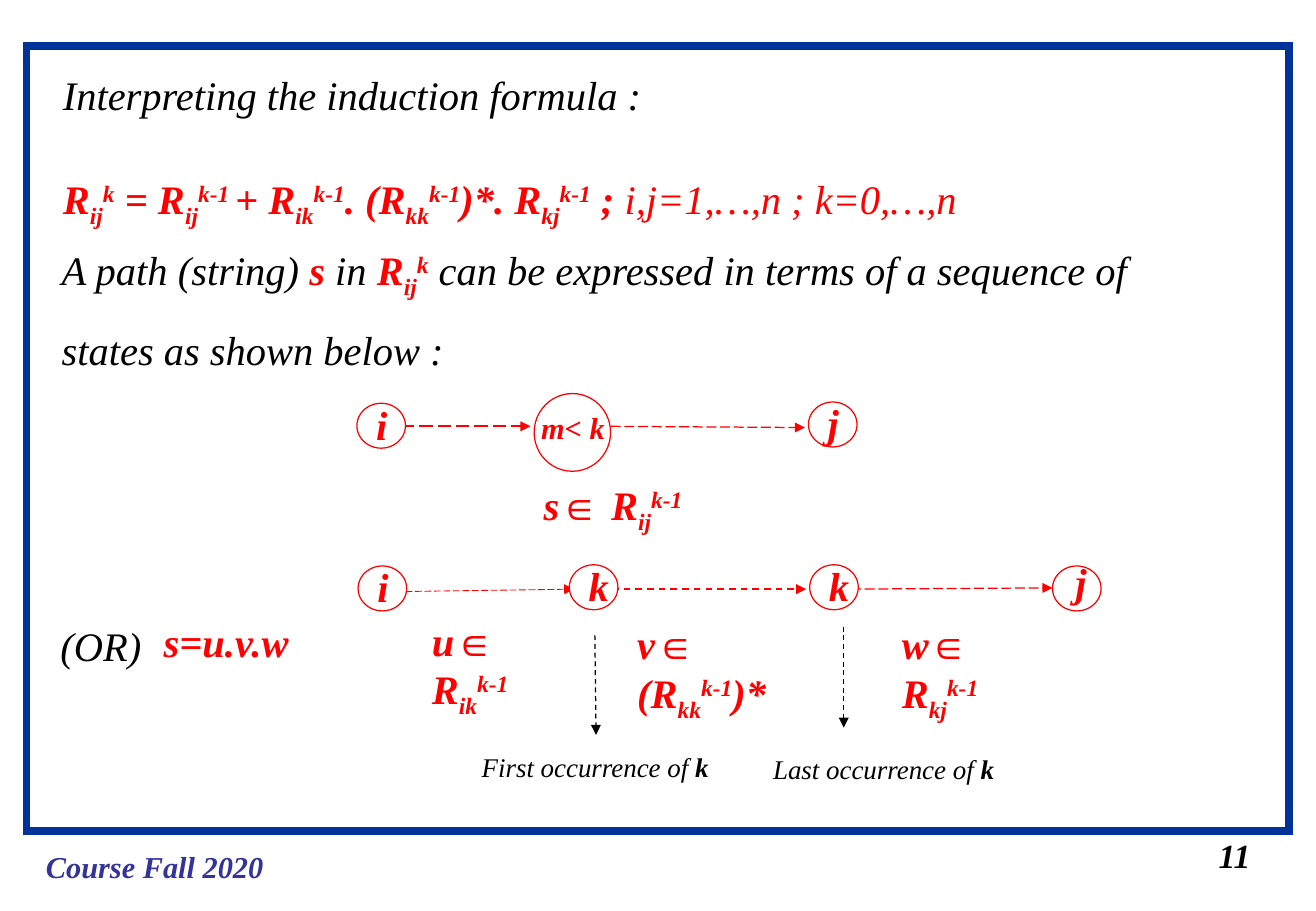
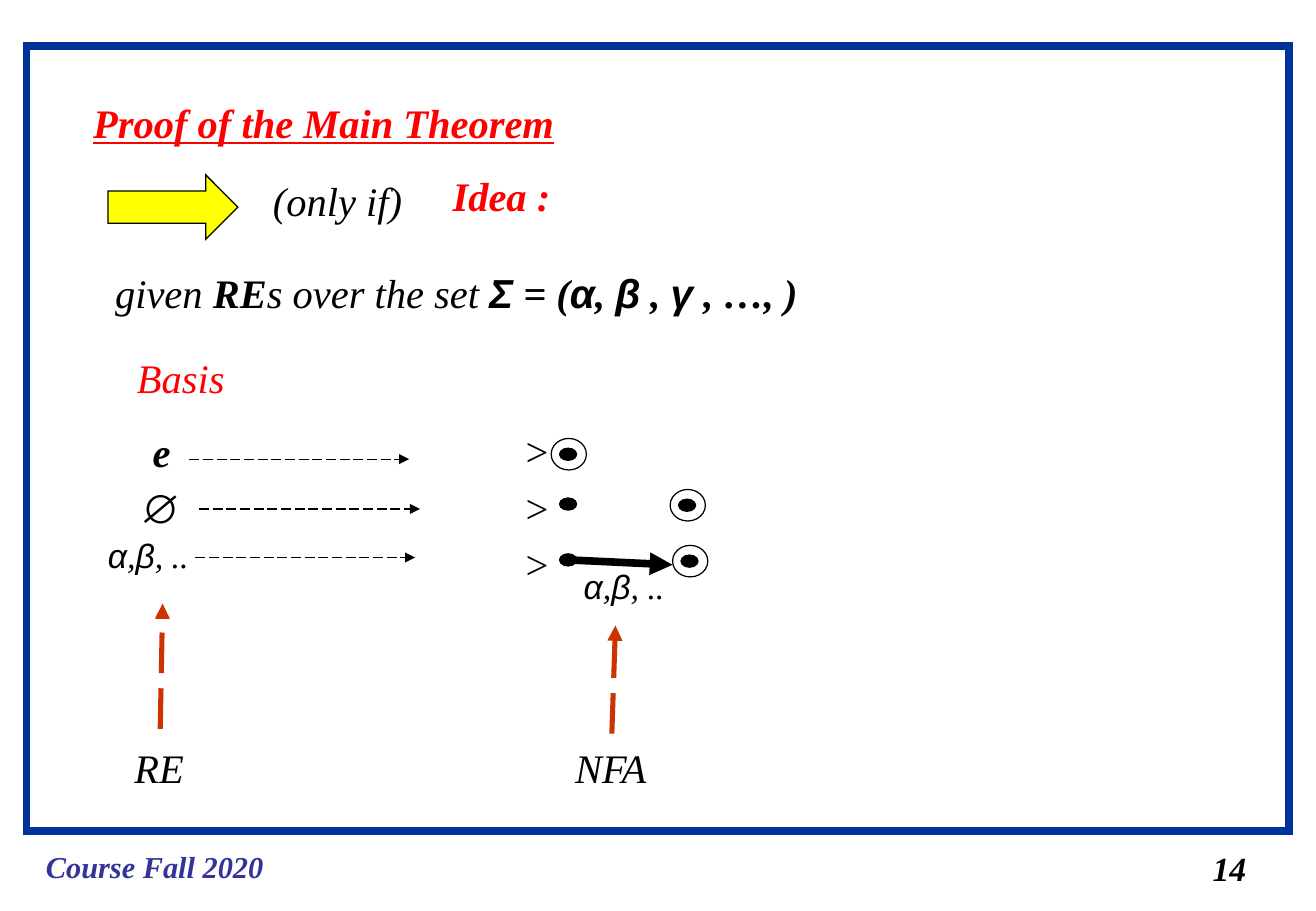
"""Build two lecture slides on regular expressions and finite automata."""
from dataclasses import dataclass
from typing import Any, Optional

from lxml.etree import SubElement
from pptx import Presentation
from pptx.dml.color import RGBColor
from pptx.enum.dml import MSO_LINE
from pptx.enum.shapes import MSO_CONNECTOR, MSO_SHAPE
from pptx.enum.text import MSO_ANCHOR, MSO_AUTO_SIZE
from pptx.oxml.ns import qn
from pptx.util import Inches, Pt

COLORS = {
    "black": "000000",
    "white": "FFFFFF",
    "red": "FF0000",
    "frame": "003399",
    "footer": "333399",
    "yellow": "FFFF00",
    "pointer": "CC3300",
}
SERIF, SANS = "Times New Roman", "Arial"
LINE_HEIGHTS = {16: 0.37, 18: 0.4, 20: 0.44, 24: 0.5}
FRAME_FORMAT = {
    "word_wrap": True,
    "auto_size": MSO_AUTO_SIZE.SHAPE_TO_FIT_TEXT,
    "vertical_anchor": MSO_ANCHOR.TOP,
    "margin_left": Inches(0.1),
    "margin_right": Inches(0.1),
    "margin_top": Inches(0.05),
    "margin_bottom": Inches(0.05),
}


@dataclass(frozen=True)
class Words:
    text: str
    color: str = "black"
    bold: bool = False
    font: str = SERIF
    baseline: int = 0
    underline: bool = False


@dataclass(frozen=True)
class Label:
    left: float
    top: float
    width: float
    words: list[Words]
    size: int = 24
    height: Optional[float] = None
    spacing: Optional[float] = None


@dataclass(frozen=True)
class Arrow:
    start: tuple[float, float]
    end: tuple[float, float]
    color: str = "black"
    weight: float = 0.75
    dash: Optional[MSO_LINE] = MSO_LINE.LONG_DASH


@dataclass(frozen=True)
class State:
    name: str
    left: float
    top: float
    name_dx: float = 0.06
    name_dy: float = -0.08


@dataclass(frozen=True)
class Dot:
    left: float
    top: float
    accepting: bool = False


def apply_format(target: Any, values: dict[str, Any]) -> None:
    """Set every named attribute on the target."""
    for name, value in values.items():
        setattr(target, name, value)


def rgb(color: str) -> RGBColor:
    """Look up a palette colour."""
    return RGBColor.from_string(COLORS[color])


def red(text: str, **options: Any) -> Words:
    """Return bold red words."""
    return Words(text, "red", True, **options)


def power(base: str, below: str, above: str) -> list[Words]:
    """Return a red term with a subscript and a superscript."""
    return [red(base), red(below, baseline=-25), red(above, baseline=30)]


def member(variable: str, base: str, below: str) -> list[Words]:
    """Return a statement that a string belongs to a path set."""
    return [red(variable), red("∈ ", font=SANS), *power(base, below, "k-1")]


def greek(text: str, bold: bool = False) -> list[Words]:
    """Return words whose Greek letters are set in the sans font."""
    return [Words(sign, bold=bold, font=SANS if sign in "Σαβγ" else SERIF)
            for sign in text]


def fill_paragraph(paragraph: Any, words: list[Words], size: int,
                   spacing: Optional[float]) -> None:
    """Write styled words into a paragraph."""
    if spacing:
        paragraph.line_spacing = spacing
    for part in words:
        run = paragraph.add_run()
        run.text = part.text
        apply_format(run.font, {
            "name": part.font, "size": Pt(size), "bold": part.bold,
            "italic": True, "underline": part.underline,
        })
        run.font.color.rgb = rgb(part.color)
        if part.baseline:
            run.font._element.set("baseline", str(part.baseline * 1000))


def add_label(slide: Any, label: Label) -> Any:
    """Draw a text box and return its text frame."""
    height = label.height or LINE_HEIGHTS[label.size]
    frame = slide.shapes.add_textbox(
        Inches(label.left), Inches(label.top),
        Inches(label.width), Inches(height)).text_frame
    apply_format(frame, FRAME_FORMAT)
    fill_paragraph(frame.paragraphs[0], label.words, label.size, label.spacing)
    return frame


def add_outline(slide: Any, kind: MSO_SHAPE, left: float, top: float,
                width: float, height: float, line: str = "black",
                fill: Optional[str] = None, weight: float = 0.75) -> Any:
    """Draw a preset shape with a mitred outline and an optional fill."""
    shape = slide.shapes.add_shape(
        kind, Inches(left), Inches(top), Inches(width), Inches(height))
    shape.shadow.inherit = False
    if fill:
        shape.fill.solid()
        shape.fill.fore_color.rgb = rgb(fill)
    else:
        shape.fill.background()
    shape.line.color.rgb = rgb(line)
    shape.line.width = Pt(weight)
    SubElement(shape.line._get_or_add_ln(), qn("a:miter"), lim="800000")
    return shape


def add_arrow(slide: Any, arrow: Arrow) -> None:
    """Draw a straight line with a triangular head at its end."""
    line = slide.shapes.add_connector(
        MSO_CONNECTOR.STRAIGHT, *map(Inches, arrow.start + arrow.end))
    line.line.color.rgb = rgb(arrow.color)
    line.line.width = Pt(arrow.weight)
    if arrow.dash:
        line.line.dash_style = arrow.dash
    SubElement(line.line._get_or_add_ln(), qn("a:tailEnd"), type="triangle")
    SubElement(line._element.spPr, qn("a:effectLst"))


def add_state(slide: Any, state: State) -> None:
    """Draw a red circle with the name of its state."""
    add_outline(slide, MSO_SHAPE.OVAL, state.left, state.top, 0.4, 0.37,
                "red", "white")
    add_label(slide, Label(
        state.left + state.name_dx, state.top + state.name_dy,
        0.4, [red(state.name)]))


def add_dot(slide: Any, dot: Dot) -> None:
    """Draw an automaton state, ringed when it accepts."""
    add_outline(slide, MSO_SHAPE.OVAL, dot.left, dot.top, 0.14, 0.1,
                fill="black")
    if dot.accepting:
        add_outline(slide, MSO_SHAPE.OVAL, dot.left - 0.07, dot.top - 0.08,
                    0.29, 0.26)


def add_course_slide(deck: Any, number: str, left: float, top: float) -> Any:
    """Add a slide with the shared frame, footer and page number."""
    slide = deck.slides.add_slide(deck.slide_layouts[6])
    add_outline(slide, MSO_SHAPE.RECTANGLE, 0.22, 0.38, 10.4, 6.46,
                "frame", weight=4.5)
    add_label(slide, Label(0.28, 6.93, 2.2, [
        Words("Course Fall 2020", "footer", True)], 18))
    add_label(slide, Label(left, top, 0.6, [Words(number, bold=True)], 20))
    return slide


def build_induction(deck: Any) -> None:
    """Build the slide that interprets the induction formula."""
    slide = add_course_slide(deck, "11", 9.94, 6.82)
    heading = add_label(slide, Label(0.42, 0.53, 8.97, [
        Words("Interpreting the induction formula :")], height=1.41))
    fill_paragraph(heading.add_paragraph(), [
        *power("R", "ij", "k"), *power(" = R", "ij", "k-1 "),
        *power("+ R", "ik", "k-1"), *power(". (R", "kk", "k-1"),
        *power(")*. R", "kj", "k-1"), red(" ; "),
        Words("i,j=1,…,n ; k=0,…,n", "red")], 24, 2.0)
    add_label(slide, Label(0.41, 1.74, 9.3, [
        Words("A path (string) "), red("s "), Words("in "),
        *power("R", "ij", "k"),
        Words(" can be expressed in terms of a sequence of states"
              " as shown below :")], height=1.39, spacing=1.5))

    arrows = [
        Arrow((3.15, 3.51), (4.37, 3.51), "red", 1),
        Arrow((5.03, 3.51), (6.63, 3.52), "red"),
        Arrow((3.34, 4.87), (4.73, 4.85), "red", 0.5),
        Arrow((5.04, 4.85), (6.64, 4.85), "red", 1, MSO_LINE.DASH),
        Arrow((7.01, 4.85), (8.67, 4.84), "red"),
        Arrow((4.9, 5.23), (4.91, 6.05), dash=MSO_LINE.DASH),
        Arrow((6.95, 5.16), (6.95, 5.99), dash=MSO_LINE.DASH),
    ]
    for arrow in arrows:
        add_arrow(slide, arrow)
    add_outline(slide, MSO_SHAPE.OVAL, 4.4, 3.24, 0.63, 0.64, "red", "white")
    states = [
        State("i", 2.94, 3.32), State("j", 6.66, 3.31),
        State("i", 2.95, 4.66), State("k", 4.69, 4.65),
        State("k", 6.67, 4.65), State("j", 8.67, 4.66, 0.09, -0.12),
    ]
    for state in states:
        add_state(slide, state)

    labels = [
        Label(4.36, 3.32, 0.9, [red("m< k")], 18),
        Label(4.38, 3.9, 1.7, member("s", "R", "ij"), height=0.56),
        Label(3.46, 5.02, 1, member("u", "R", "ik"), height=0.9),
        Label(5.15, 5.05, 1.35, [*member("v", "(R", "kk"), red(")*")],
              height=0.9),
        Label(7.33, 5.05, 1, member("w", "R", "kj"), height=0.9),
        Label(0.4, 5.06, 1, [Words("(OR)")]),
        Label(1.25, 5.03, 1.5, [red("s=u.v.w")]),
        Label(3.87, 6.13, 2.3, [
            Words("First occurrence of "), Words("k", bold=True)], 16),
        Label(6.27, 6.15, 2.3, [
            Words("Last occurrence of "), Words("k", bold=True)], 16),
    ]
    for label in labels:
        add_label(slide, label)


def build_proof(deck: Any) -> None:
    """Build the slide that starts the proof of the main theorem."""
    slide = add_course_slide(deck, "14", 9.89, 6.93)
    add_outline(slide, MSO_SHAPE.RIGHT_ARROW, 0.89, 1.44, 1.07, 0.53,
                fill="yellow")
    labels = [
        Label(0.67, 0.76, 4.4,
              [red("Proof of the Main Theorem", underline=True)]),
        Label(2.15, 1.4, 1.45, [Words("(only if)")]),
        Label(3.63, 1.36, 1.3, [red("Idea :")]),
        Label(0.85, 2.16, 8.57, [
            Words("given "), Words("RE", bold=True), Words("s over the set "),
            *greek("Σ = (α, β , γ , …, )", True)]),
        Label(1.03, 2.86, 1.1, [Words("Basis", "red")]),
        Label(1.16, 3.47, 0.4, [Words("e", bold=True)]),
        Label(1.06, 3.93, 0.5, [Words("∅", bold=True, font=SANS)]),
        Label(0.79, 4.35, 1, greek("α,β, .."), 20),
        Label(4.71, 4.61, 1, greek("α,β, .."), 20),
        Label(1.01, 6.07, 0.8, [Words("RE")]),
        Label(4.64, 6.07, 1, [Words("NFA")]),
    ]
    starts = [Label(4.21, 3.46 + 0.465 * row, 0.42, [Words(">")])
              for row in range(3)]
    for label in labels + starts:
        add_label(slide, label)

    dots = [Dot(4.61, 3.69, True), Dot(4.61, 4.1), Dot(5.59, 4.11, True),
            Dot(4.61, 4.56), Dot(5.61, 4.57, True)]
    for dot in dots:
        add_dot(slide, dot)
    arrows = [
        Arrow((1.56, 3.78), (3.37, 3.78)),
        Arrow((1.64, 4.19), (3.46, 4.19)),
        Arrow((1.61, 4.59), (3.42, 4.59)),
        Arrow((4.69, 4.61), (5.54, 4.65), weight=4.5, dash=None),
        Arrow((1.32, 6), (1.34, 4.97), "pointer", 3),
        Arrow((5.04, 6.04), (5.07, 5.15), "pointer", 3),
    ]
    for arrow in arrows:
        add_arrow(slide, arrow)


def main() -> None:
    """Build and save the presentation."""
    deck = Presentation()
    apply_format(deck, {"slide_width": Inches(10.84),
                        "slide_height": Inches(7.5)})
    build_induction(deck)
    build_proof(deck)
    deck.save("out.pptx")


if __name__ == "__main__":
    main()
